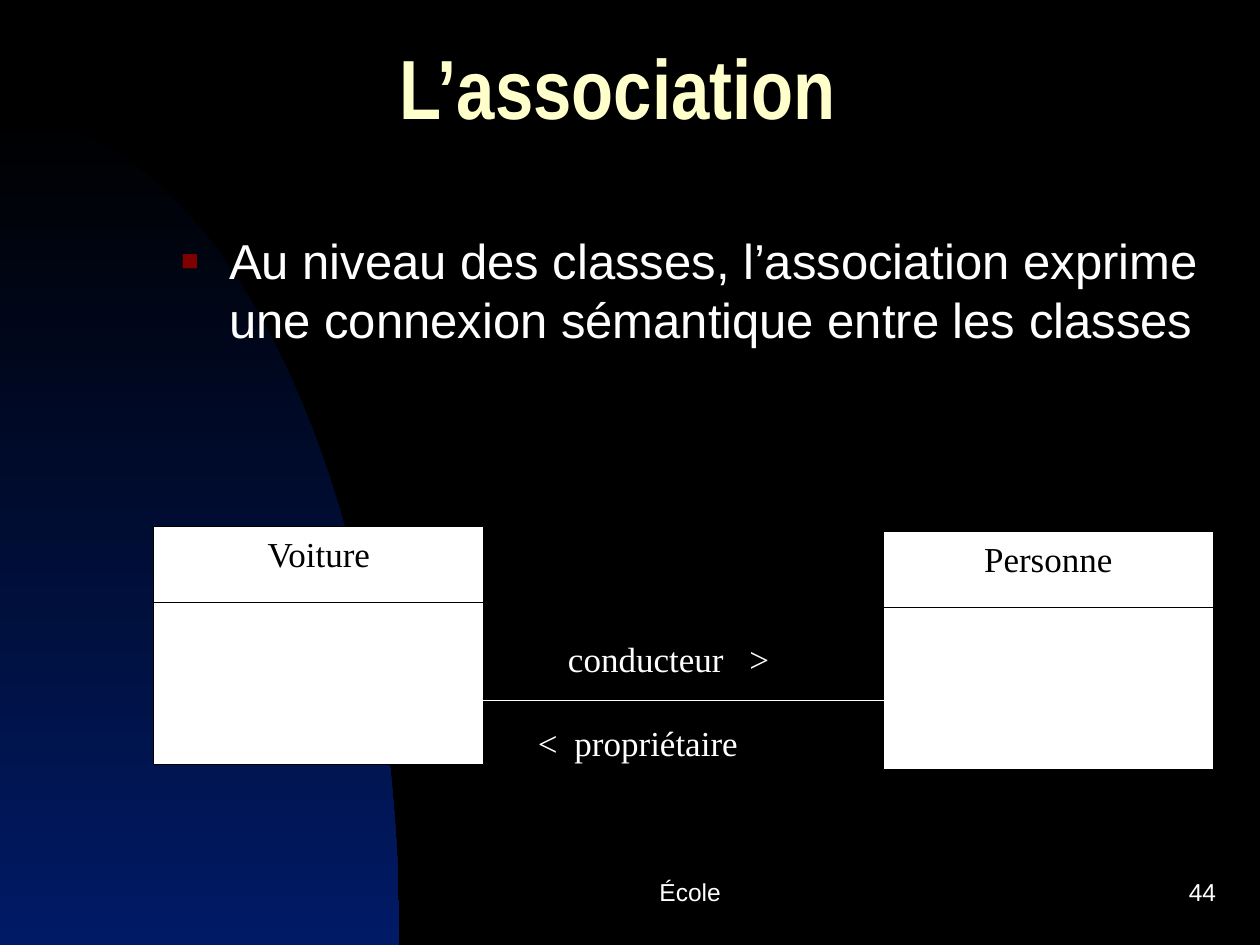
from math import cos, pi, sin

from lxml.etree import SubElement
from pptx import Presentation
from pptx.dml.color import RGBColor
from pptx.enum.shapes import MSO_CONNECTOR, MSO_SHAPE
from pptx.enum.text import MSO_ANCHOR, MSO_AUTO_SIZE, PP_ALIGN
from pptx.oxml.ns import qn
from pptx.util import Inches, Pt

BLACK, WHITE = "000000", "FFFFFF"
SERIF = "Times New Roman"


def color(value):
    return RGBColor.from_string(value)


def place(shape, left, top, width, height):
    shape.left, shape.top = Inches(left), Inches(top)
    shape.width, shape.height = Inches(width), Inches(height)


def write(shape, text, font="Arial", size=20, ink=WHITE, bold=False,
          align=PP_ALIGN.LEFT, anchor=MSO_ANCHOR.TOP, spacing=None):
    """Fill the shape with one formatted paragraph and return it."""
    frame = shape.text_frame
    frame.word_wrap = True
    frame.auto_size = MSO_AUTO_SIZE.NONE
    frame.vertical_anchor = anchor
    para = frame.paragraphs[0]
    para.alignment = align
    if spacing:
        para.line_spacing = spacing
    span = para.add_run()
    span.text = text
    span.font.name, span.font.size, span.font.bold = font, Pt(size), bold
    span.font.color.rgb = color(ink)
    return para


def add_text(page, box, text, **style):
    shape = page.shapes.add_textbox(*map(Inches, box))
    return write(shape, text, **style)


def add_bullet(para, char, ink, percent, indent):
    props = para._p.get_or_add_pPr()
    props.set("marL", str(Inches(indent)))
    props.set("indent", str(-Inches(indent)))
    SubElement(SubElement(props, qn("a:buClr")), qn("a:srgbClr"), val=ink)
    SubElement(props, qn("a:buSzPct"), val=str(percent * 1000))
    SubElement(props, qn("a:buFont"), typeface="Arial")
    SubElement(props, qn("a:buChar"), char=char)


def add_tab(para, position):
    tabs = SubElement(para._p.get_or_add_pPr(), qn("a:tabLst"))
    SubElement(tabs, qn("a:tab"), pos=str(Inches(position)), algn="l")


def add_rule(shapes, left, right, y, ink):
    rule = shapes.add_connector(MSO_CONNECTOR.STRAIGHT, Inches(left), Inches(y),
                                Inches(right), Inches(y))
    rule.line.color.rgb = color(ink)
    rule.line.width = Pt(0.75)
    SubElement(rule._element.spPr, qn("a:effectLst"))


def add_backdrop(page, left, top, width, height, steps=60):
    """Draw a quarter ellipse that fades from black to blue."""
    angles = [pi / 2 * step / steps for step in range(steps + 1)]
    arc = [(Inches(left + width * sin(angle)),
            Inches(top + height * (1 - cos(angle)))) for angle in angles]
    builder = page.shapes.build_freeform(*arc[0])
    builder.add_line_segments(arc[1:] + [(Inches(left), Inches(top + height))])
    curve = builder.convert_to_shape()
    curve.shadow.inherit = False
    curve.line.fill.background()
    curve.fill.gradient()
    curve.fill.gradient_angle = 270
    for stop, ink, position in zip(curve.fill.gradient_stops, (BLACK, "001A66"), (0, 1)):
        stop.color.rgb = color(ink)
        stop.position = position


def add_class(page, name, left, top, width=2.62, height=1.89, header=0.6):
    shapes = page.shapes.add_group_shape().shapes
    frame = shapes.add_shape(MSO_SHAPE.RECTANGLE,
                             *map(Inches, (left, top, width, height)))
    frame.shadow.inherit = False
    frame.fill.solid()
    frame.fill.fore_color.rgb = color(WHITE)
    frame.line.color.rgb = color(BLACK)
    frame.line.width = Pt(0.75)
    write(frame, name, font=SERIF, ink=BLACK, align=PP_ALIGN.CENTER)
    add_rule(shapes, left, left + width, top + header, BLACK)


def add_association(page):
    """Draw the two classes and the link with its two roles."""
    add_class(page, "Voiture", 1.22, 4.18)
    add_class(page, "Personne", 7.01, 4.22)
    add_rule(page.shapes, 3.82, 7.1, 5.56, WHITE)
    driver = add_text(page, (4.41, 5.01, 2.03, 0.7), "conducteur\t>", font=SERIF)
    add_tab(driver, 1.44)
    owner = add_text(page, (4.17, 5.68, 2.08, 0.45), "<\tpropriétaire", font=SERIF)
    add_tab(owner, 0.29)


def add_footer(page, top=6.83, height=0.5):
    style = dict(size=14, anchor=MSO_ANCHOR.MIDDLE)
    add_text(page, (3.92, top, 3.17, height), "École ", align=PP_ALIGN.CENTER, **style)
    add_text(page, (7.67, top, 2.08, height), "44", align=PP_ALIGN.RIGHT, **style)


def main():
    deck = Presentation()
    deck.slide_width, deck.slide_height = Inches(10), Inches(7.5)
    page = deck.slides.add_slide(deck.slide_layouts[5])
    page.background.fill.solid()
    page.background.fill.fore_color.rgb = color(BLACK)

    add_backdrop(page, 0, 0.92, 3.17, 6.58)
    title = page.shapes.title
    place(title, 3.07, 0.32, 6.67, 0.92)
    write(title, "L’association", font="Arial Narrow", size=48, ink="FFFFCC",
          bold=True, anchor=MSO_ANCHOR.MIDDLE, spacing=0.7)
    point = add_text(page, (1.34, 1.78, 8.33, 1.19),
                     "Au niveau des classes, l’association exprime "
                     "une connexion sémantique entre les classes", size=28)
    add_bullet(point, "■", "800000", 60, 0.38)
    add_association(page)
    add_footer(page)
    deck.save("out.pptx")


if __name__ == "__main__":
    main()
